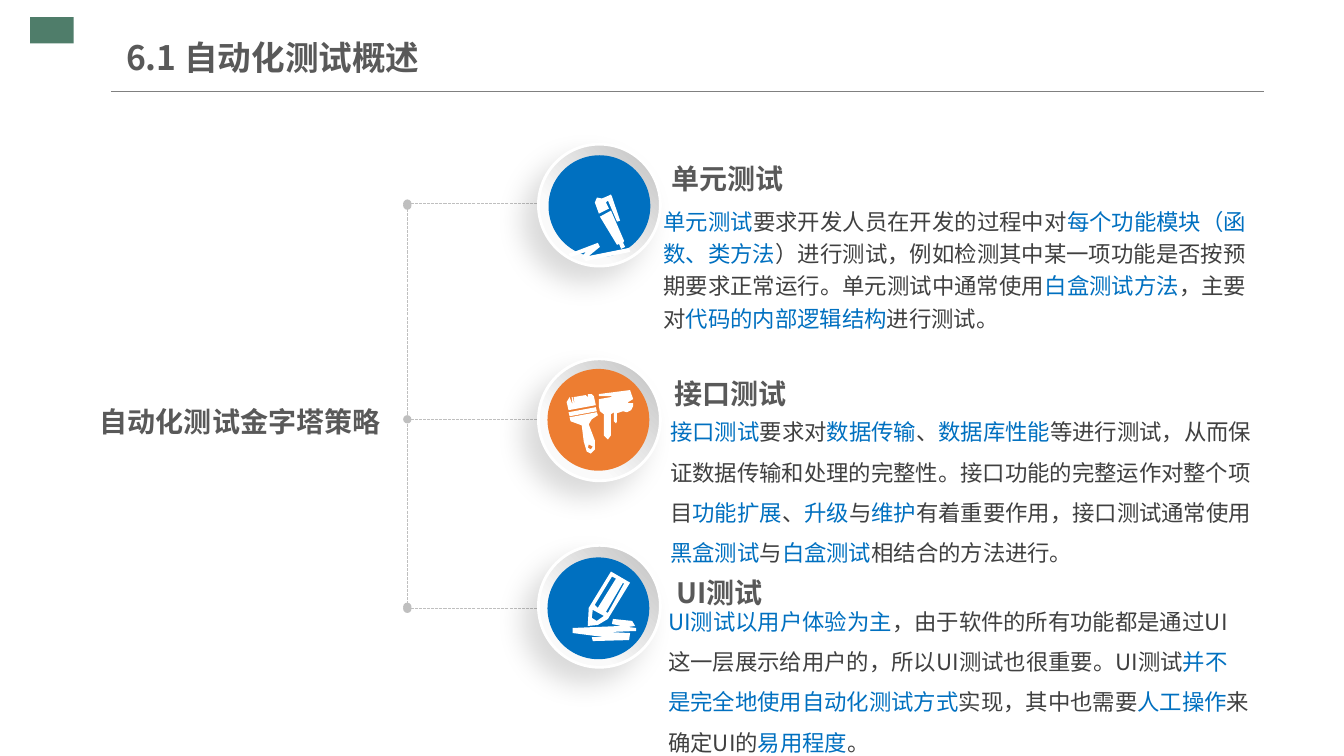
from lxml import etree
from pptx import Presentation
from pptx import util as u
from pptx.dml.color import RGBColor
from pptx.enum import dml, shapes, text
from pptx.oxml.ns import qn

PX = 9144  # EMU per px, 100 px to the inch
BLUE, ORANGE, GREY, DARK = "0070C0", "ED7D31", "595959", "404040"


def rgb(value):
    return RGBColor.from_string(value)


class Canvas:
    """Holds the style and the current slide."""

    font = "Noto Sans CJK SC"

    def __init__(self, slide):
        self.slide = slide
        self.shapes = slide.shapes

    def style(self, paragraph, size, color, bold=False):
        font = paragraph.font
        font.name, font.size, font.bold = self.font, u.Pt(size), bold
        font.color.rgb = rgb(color)
        latin = font._element.find(qn("a:latin"))
        east_asian = etree.Element(qn("a:ea"), typeface=self.font)
        latin.addnext(east_asian)

    def frame(self, shape, inset_x, inset_y, anchor):
        frame = shape.text_frame
        frame.word_wrap = True
        frame.auto_size = text.MSO_AUTO_SIZE.NONE
        frame.vertical_anchor = anchor
        frame.margin_left = frame.margin_right = inset_x * PX
        frame.margin_top = frame.margin_bottom = inset_y * PX
        return frame.paragraphs[0]

    def title(self, words, left, top, width, height):
        shape = self.shapes.title
        shape.left, shape.top = left * PX, top * PX
        shape.width, shape.height = width * PX, height * PX
        paragraph = self.frame(shape, 0, 7, text.MSO_ANCHOR.MIDDLE)
        paragraph.text = words
        paragraph.alignment = text.PP_ALIGN.LEFT
        self.style(paragraph, 24, GREY, bold=True)

    def text_box(self, left, top, width, height, inset_x=0, inset_y=0):
        box = self.shapes.add_textbox(left * PX, top * PX, width * PX, height * PX)
        return self.frame(box, inset_x, inset_y, text.MSO_ANCHOR.TOP)

    def heading(self, words, left, top, width, height):
        paragraph = self.text_box(left, top, width, height)
        paragraph.text = words
        paragraph.line_spacing = 1.5
        self.style(paragraph, 20, GREY, bold=True)

    def body(self, words, box, insets, spacing, alignment):
        """Pieces between bars alternate: highlighted, plain, highlighted..."""
        paragraph = self.text_box(*box, *insets)
        paragraph.line_spacing = spacing
        paragraph.alignment = alignment
        self.style(paragraph, 16, DARK)
        for index, piece in enumerate(words.split("|")):
            run = paragraph.add_run()
            run.text = piece
            run.font.color.rgb = rgb(DARK if index % 2 else BLUE)

    def solid(self, shape, color):
        shape.shadow.inherit = False
        shape.fill.solid()
        shape.fill.fore_color.rgb = rgb(color)
        shape.line.fill.background()

    def preset(self, kind, left, top, width, height, color):
        shape = self.shapes.add_shape(kind, left * PX, top * PX, width * PX, height * PX)
        self.solid(shape, color)
        return shape

    def ring(self, left, top, size):
        shape = self.preset(shapes.MSO_SHAPE.OVAL, left, top, size, size, "FFFFFF")
        shape.fill.gradient()
        shape.fill.gradient_angle = 225
        for stop, (position, color) in zip(
            shape.fill.gradient_stops, [(0, "BFBFBF"), (0.7, "FAFAFA")]
        ):
            stop.position = position
            stop.color.rgb = rgb(color)
        shape.line.color.rgb = rgb("FFFFFF")
        shape.line.width = u.Pt(2)
        effects = shape._element.spPr.find(qn("a:effectLst"))
        shadow = etree.SubElement(
            effects, qn("a:outerShdw"), blurRad=str(u.Pt(20)), dist=str(u.Pt(15)),
            dir="8100000", algn="tr", rotWithShape="0",
        )
        black = etree.SubElement(shadow, qn("a:srgbClr"), val="000000")
        etree.SubElement(black, qn("a:alpha"), val="15000")

    def line(self, x1, y1, x2, y2, color, dotted=False):
        line = self.shapes.add_connector(
            shapes.MSO_CONNECTOR.STRAIGHT, x1 * PX, y1 * PX, x2 * PX, y2 * PX
        )
        line.line.color.rgb = rgb(color)
        line.line.width = u.Pt(0.75)
        properties = line._element.spPr
        if dotted:
            line.line.dash_style = dml.MSO_LINE.SQUARE_DOT
            outline = properties.find(qn("a:ln"))
            outline.find(qn("a:prstDash")).set("val", "sysDash")
            for end in ("a:headEnd", "a:tailEnd"):
                etree.SubElement(outline, qn(end), type="oval")
        etree.SubElement(properties, qn("a:effectLst"))

    def icon(self, contours):
        builder = None
        for start, *rest in contours:
            if builder is None:
                builder = self.shapes.build_freeform(*start, scale=PX)
            else:
                builder.move_to(*start)
            builder.add_line_segments(rest, close=True)
        self.solid(builder.convert_to_shape(), "FFFFFF")


PEN = [
    [(595, 215), (606, 209), (619, 239), (618, 241), (620, 245), (616, 247), (614, 242),
     (612, 243)],
    [(564, 252), (566, 255), (581, 250), (577, 255), (581, 259), (625, 250), (624, 246),
     (584, 254), (595, 245), (593, 241)],
    [(597, 197), (592, 196), (590, 201), (594, 212), (604, 207), (601, 201), (603, 199),
     (612, 220), (615, 219), (607, 195), (606, 193), (604, 194)],
]
BRUSHES = [
    [(612, 410), (612, 418), (611, 420), (609, 418), (609, 409), (606, 411), (606, 432),
     (603, 436), (599, 432), (599, 411), (595, 408), (594, 403), (594, 396), (606, 394),
     (607, 393), (594, 393), (594, 391), (625, 387), (628, 396), (623, 399), (623, 400),
     (628, 400), (628, 403), (626, 407), (622, 409), (618, 408)],
    [(564, 409), (591, 404), (592, 408), (565, 413)],
    [(592, 409), (565, 414), (566, 418), (577, 422), (579, 438), (582, 448), (586, 450),
     (590, 446), (590, 437), (584, 421), (587, 416), (593, 412)],
    [(584, 441), (588, 443), (586, 446), (583, 444)],
    [(591, 402), (589, 393), (587, 391), (583, 391), (583, 394), (581, 392), (569, 394),
     (570, 401), (570, 402), (568, 394), (567, 394), (568, 402), (565, 394), (562, 399),
     (564, 407)],
]
PENCIL = [
    [(606, 567), (625, 578), (603, 614), (593, 620), (583, 621), (584, 603)],
    [(624, 635), (625, 628), (604, 627), (631, 626), (631, 623), (623, 622), (630, 621),
     (627, 616), (608, 614), (607, 619), (616, 621), (568, 623), (568, 628), (599, 632),
     (587, 632), (588, 636)],
    [(592, 616), (599, 611), (588, 605), (587, 613)],
    [(618, 578), (601, 607), (603, 608), (619, 579)],
    [(607, 572), (590, 600), (593, 603), (611, 574)],
]

# Line height, ring top, disc position, disc colour, icon
BRANCHES = [
    (202, 143, (544, 154), BLUE, PEN),
    (416, 356, (543, 366), ORANGE, BRUSHES),
    (604, 541, (543, 553), BLUE, PENCIL),
]
HEADINGS = [
    ("自动化测试金字塔策略", 99, 385, 361, 62),
    ("单元测试", 666, 144, 468, 51),
    ("接口测试", 669, 357, 139, 64),
    ("UI测试", 671, 554, 563, 61),
]
LEFT, JUSTIFY = text.PP_ALIGN.LEFT, text.PP_ALIGN.JUSTIFY
BODIES = [
    ("单元测试|要求开发人员在开发的过程中对|每个功能模块（函数、类方法|）进行测试，"
     "例如检测其中某一项功能是否按预期要求正常运行。单元测试中通常使用|白盒测试方法|"
     "，主要对|代码的内部逻辑结构|进行测试。",
     (658, 201, 578, 129), (0, 0), 1.2, JUSTIFY),
    ("接口测试|要求对|数据传输|、|数据库性能|等进行测试，从而保证数据传输和处理的完整性。"
     "接口功能的完整运作对整个项目|功能扩展|、|升级|与|维护|有着重要作用，"
     "接口测试通常使用|黑盒测试|与|白盒测试|相结合的方法进行。",
     (655, 397, 606, 172), (10, 5), 1.5, LEFT),
    ("UI测试以用户体验为主|，由于软件的所有功能都是通过UI这一层展示给用户的，"
     "所以UI测试也很重要。UI测试|并不是完全地使用自动化测试方式|实现，其中也需要|"
     "人工操作|来确定UI的|易用程度|。",
     (653, 585, 596, 172), (10, 5), 1.5, LEFT),
]


def main():
    presentation = Presentation()
    presentation.slide_width, presentation.slide_height = 1333 * PX, 750 * PX
    canvas = Canvas(presentation.slides.add_slide(presentation.slide_layouts[5]))

    # Page header
    canvas.preset(shapes.MSO_SHAPE.RECTANGLE, 30, 17, 43, 26, "4F7D6A")
    canvas.line(110, 91, 1254, 91, "808080")
    canvas.title("6.1 自动化测试概述", 125, 29, 426, 55)

    # Dotted tree with a round badge at the end of each branch
    canvas.line(404, 204, 404, 602, "BFBFBF", dotted=True)
    for line_y, ring_top, disc, color, icon in BRANCHES:
        canvas.line(598, line_y, 404, line_y, "BFBFBF", dotted=True)
        canvas.ring(534, ring_top, 121)
        canvas.preset(shapes.MSO_SHAPE.OVAL, *disc, 101, 101, color)
        canvas.icon(icon)

    # Headings and descriptions
    for heading in HEADINGS:
        canvas.heading(*heading)
    for body in BODIES:
        canvas.body(*body)

    presentation.save("out.pptx")


if __name__ == "__main__":
    main()
